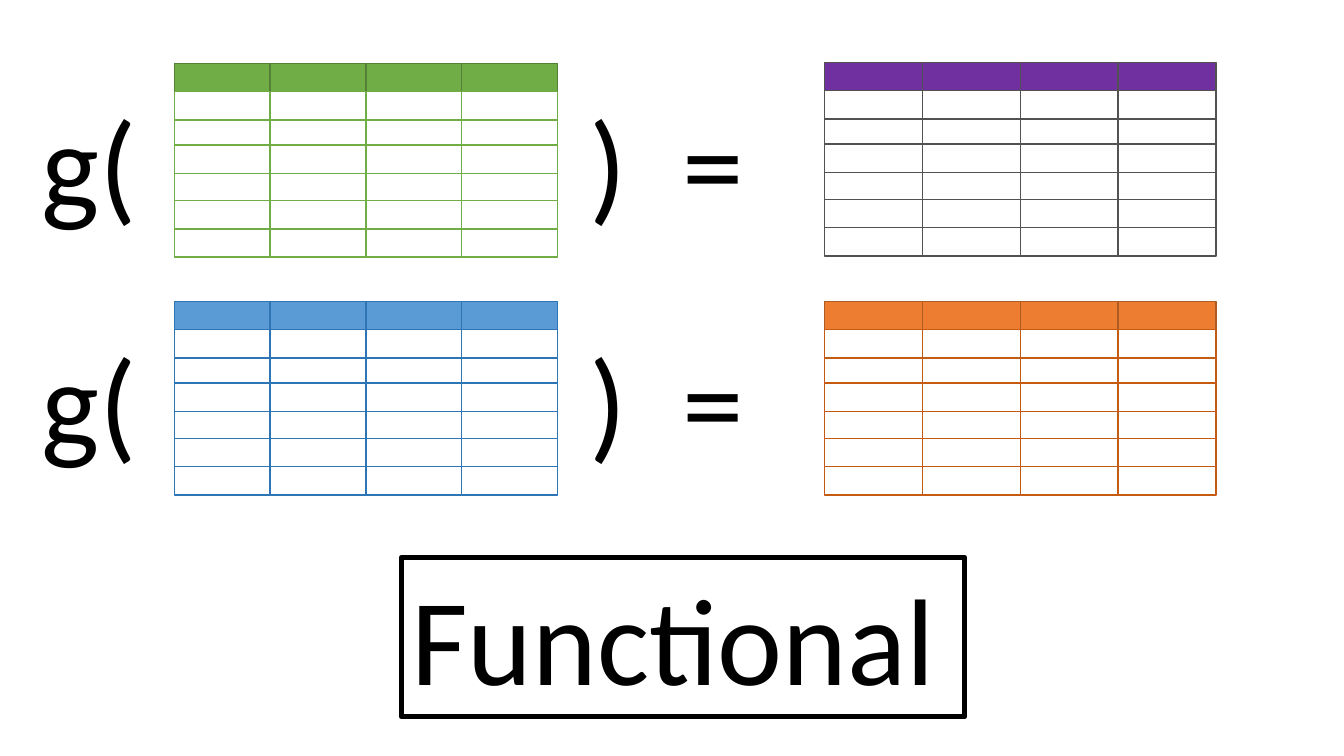
"""Build a slide showing a function g applied to two tables."""
from pptx import Presentation
from pptx.dml.color import RGBColor
from pptx.enum.shapes import MSO_SHAPE
from pptx.util import Inches, Pt

RECTANGLE = MSO_SHAPE.RECTANGLE

BLACK = RGBColor(0x00, 0x00, 0x00)
WHITE = RGBColor(0xFF, 0xFF, 0xFF)
GREEN = RGBColor(0x70, 0xAD, 0x47)
DARK_GREEN = RGBColor(0x53, 0x80, 0x35)
PURPLE = RGBColor(0x70, 0x30, 0xA0)
GRAY = RGBColor(0x52, 0x52, 0x52)
BLUE = RGBColor(0x5B, 0x9B, 0xD5)
DARK_BLUE = RGBColor(0x2E, 0x75, 0xB6)
ORANGE = RGBColor(0xED, 0x7D, 0x31)
DARK_ORANGE = RGBColor(0xAF, 0x5C, 0x24)
BURNT_ORANGE = RGBColor(0xC5, 0x5A, 0x11)

FONT = "Calibri"
FONT_SIZE = 88
TEXT_HEIGHT = 1.58

# left, top, column width, header fill, header line, body line
GRIDS = [
    (1.73, 0.63, 0.95, GREEN, DARK_GREEN, GREEN),
    (8.18, 0.62, 0.97, PURPLE, GRAY, GRAY),
    (1.73, 2.99, 0.95, BLUE, DARK_BLUE, DARK_BLUE),
    (8.18, 2.99, 0.97, ORANGE, DARK_ORANGE, BURNT_ORANGE),
]
COLUMNS = 4
ROW_HEIGHT = 0.28
ROW_OFFSETS = [0, 0.28, 0.56, 0.81, 1.09, 1.36, 1.64]

FORMULA_TOPS = [0.81, 3.17]
FORMULA_PARTS = [("g(", 0.31, 1.2), (")  =", 5.75, 2.06)]
CAPTION = ("Functional", 3.98, 5.53, 5.59)


def add_grid(slide, left, top, column_width, header_fill, header_line, body_line):
    """Draw one grouped grid with a coloured header row."""
    group = slide.shapes.add_group_shape()
    for row, offset in enumerate(ROW_OFFSETS):
        for column in range(COLUMNS):
            cell = group.shapes.add_shape(
                RECTANGLE,
                Inches(left + column * column_width),
                Inches(top + offset),
                Inches(column_width),
                Inches(ROW_HEIGHT),
            )
            cell.shadow.inherit = False
            cell.fill.solid()
            cell.fill.fore_color.rgb = WHITE if row else header_fill
            cell.line.color.rgb = body_line if row else header_line
            cell.line.width = Pt(1)


def add_label(slide, text, left, top, width):
    """Add one large line of text and return its box."""
    label = slide.shapes.add_textbox(
        Inches(left), Inches(top), Inches(width), Inches(TEXT_HEIGHT)
    )
    label.text_frame.word_wrap = True
    run = label.text_frame.paragraphs[0].add_run()
    run.text = text
    run.font.name = FONT
    run.font.size = Pt(FONT_SIZE)
    run.font.color.rgb = BLACK
    return label


def main():
    """Assemble and save the slide."""
    presentation = Presentation()
    presentation.slide_width = Inches(13.33)
    presentation.slide_height = Inches(7.5)
    slide = presentation.slides.add_slide(presentation.slide_layouts[6])

    for grid in GRIDS:
        add_grid(slide, *grid)

    for top in FORMULA_TOPS:
        for text, left, width in FORMULA_PARTS:
            add_label(slide, text, left, top, width)

    caption = add_label(slide, *CAPTION)
    caption.line.color.rgb = BLACK
    caption.line.width = Pt(3.5)

    presentation.save("out.pptx")


if __name__ == "__main__":
    main()
